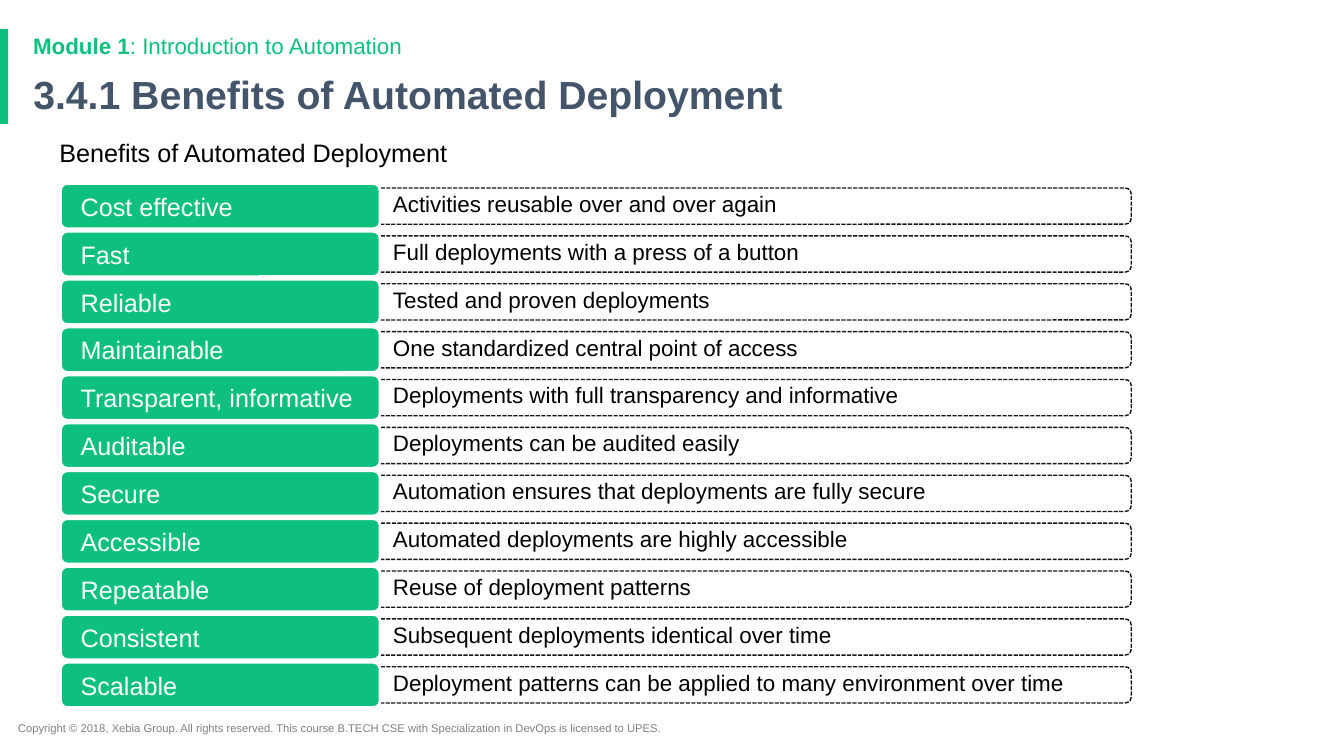
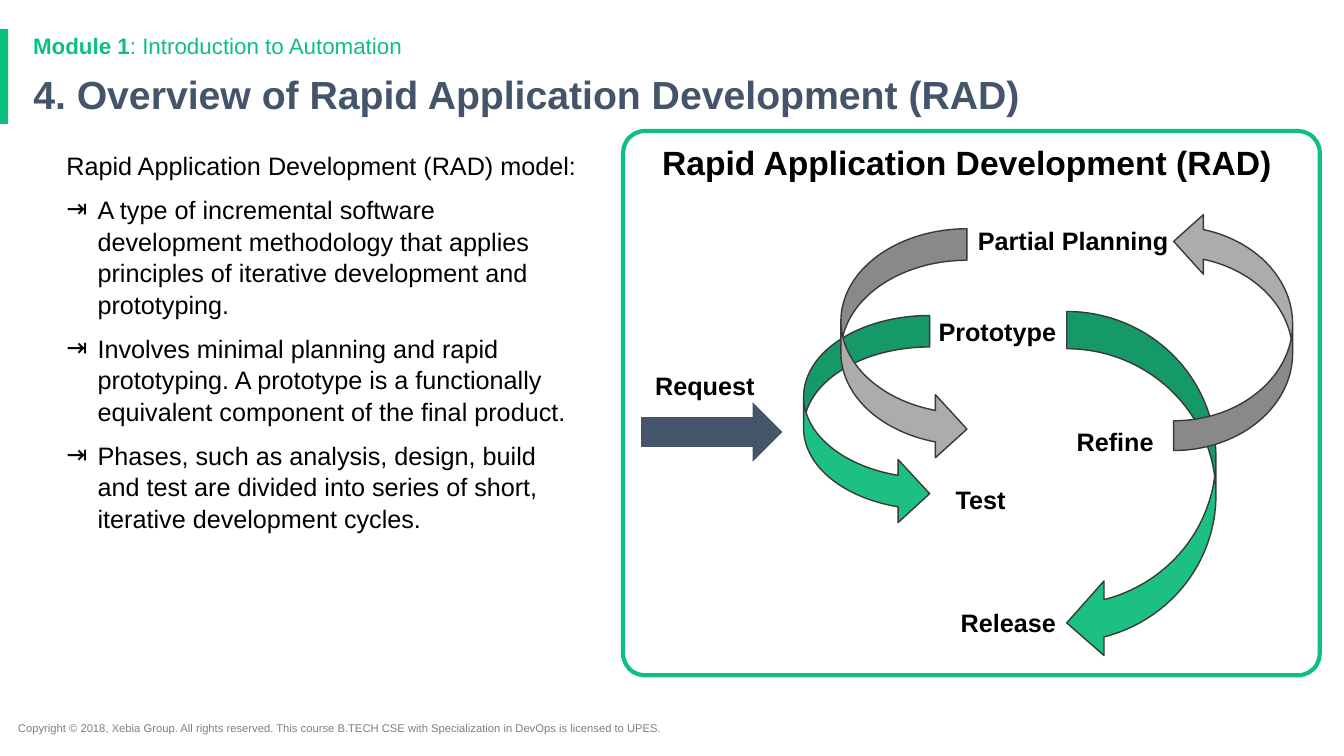
from dataclasses import dataclass

from lxml import etree
from pptx import Presentation
from pptx.dml.color import RGBColor
from pptx.enum.dml import MSO_LINE
from pptx.enum.shapes import MSO_SHAPE
from pptx.enum.text import MSO_ANCHOR, MSO_AUTO_SIZE, PP_ALIGN
from pptx.oxml.ns import qn
from pptx.util import Inches, Pt

RECT = MSO_SHAPE.RECTANGLE
ROUND_RECT = MSO_SHAPE.ROUNDED_RECTANGLE
RIGHT_ARROW = MSO_SHAPE.RIGHT_ARROW
CURVED_RIGHT = MSO_SHAPE.CURVED_RIGHT_ARROW
CURVED_LEFT = MSO_SHAPE.CURVED_LEFT_ARROW
SHORT_DASH = MSO_LINE.SQUARE_DOT
TOP, MIDDLE = MSO_ANCHOR.TOP, MSO_ANCHOR.MIDDLE
LEFT, CENTER = PP_ALIGN.LEFT, PP_ALIGN.CENTER
NO_AUTOFIT = MSO_AUTO_SIZE.NONE
TITLE_ONLY = 5


@dataclass(frozen=True)
class Theme:
    font: str = "Arial"
    green: str = "0EC07D"
    arrow_green: str = "1CC083"
    arrow_gray: str = "AEABAB"
    arrow_line: str = "3A3838"
    slate: str = "44546A"
    dash: str = "11151A"
    black: str = "000000"
    white: str = "FFFFFF"
    footer: str = "7F7F7F"
    title_size: int = 28
    panel_size: int = 24
    body_size: int = 18
    detail_size: int = 16
    footer_size: int = 8
    tight: float = 0.9
    loose: float = 1.05


THEME = Theme()
MODULE = [("Module 1", True), (": Introduction to Automation", False)]
COPYRIGHT = (
    "Copyright © 2018, Xebia Group. All rights reserved. This course "
    "B.TECH CSE with Specialization in DevOps is licensed to UPES."
)

BENEFITS = [
    ("Cost effective", "Activities reusable over and over again"),
    ("Fast", "Full deployments with a press of a button"),
    ("Reliable", "Tested and proven deployments"),
    ("Maintainable", "One standardized central point of access"),
    ("Transparent, informative", "Deployments with full transparency and informative"),
    ("Auditable", "Deployments can be audited easily"),
    ("Secure", "Automation ensures that deployments are fully secure"),
    ("Accessible", "Automated deployments are highly accessible"),
    ("Repeatable", "Reuse of deployment patterns"),
    ("Consistent", "Subsequent deployments identical over time"),
    ("Scalable", "Deployment patterns can be applied to many environment over time"),
]

RAD_POINTS = [
    "A type of incremental software development methodology that applies "
    "principles of iterative development and prototyping.",
    "Involves minimal planning and rapid prototyping. A prototype is a "
    "functionally equivalent component of the final product.",
    "Phases, such as analysis, design, build and test are divided into "
    "series of short, iterative development cycles.",
]

# Text, left, top, width
PHASES = [
    ("Partial Planning", 9.6, 2.19, 2.11),
    ("Prototype", 9.21, 3.09, 1.38),
    ("Refine", 10.58, 4.18, 0.97),
    ("Test", 9.38, 4.76, 0.72),
    ("Release", 9.43, 5.98, 1.16),
    ("Request", 6.4, 3.62, 1.2),
]


class Deck:
    def __init__(self, theme):
        self.theme = theme
        self.prs = Presentation()
        self.prs.slide_width = Inches(13.33)
        self.prs.slide_height = Inches(7.5)
        self.slide = None

    def new_slide(self, title):
        """Start a slide with the shared band, footer, title and module line."""
        t = self.theme
        self.slide = self.prs.slides.add_slide(self.prs.slide_layouts[TITLE_ONLY])
        self.shape(RECT, (0, 0.29, 0.08, 0.94), t.green)
        self.text((0.08, 7.11, 7.13, 0.24), COPYRIGHT, t.footer_size, t.footer)
        sp = self.slide.shapes.title
        sp.left, sp.top, sp.width, sp.height = map(Inches, (0.23, 0.69, 11.5, 0.54))
        self.set_text(sp, title, t.title_size, t.slate, bold=True, spacing=t.tight,
                      anchor=MIDDLE)
        self.text((0.23, 0.3, 11.5, 0.33), MODULE, t.detail_size, t.green, spacing=t.tight)

    def set_text(self, sp, text, size, color, bold=False, spacing=1.0,
                 align=LEFT, anchor=TOP, margins=(0.1, 0.05, 0.1, 0.05)):
        """Fill the first paragraph with a string or (text, bold) runs."""
        tf = sp.text_frame
        tf.auto_size = NO_AUTOFIT
        tf.word_wrap = True
        tf.vertical_anchor = anchor
        (tf.margin_left, tf.margin_top,
         tf.margin_right, tf.margin_bottom) = map(Inches, margins)
        runs = [(text, bold)] if isinstance(text, str) else text
        self.add_runs(tf.paragraphs[0], runs, size, color, spacing, align)

    def add_runs(self, p, runs, size, color, spacing, align=LEFT):
        p.alignment = align
        p.line_spacing = spacing
        for content, bold in runs:
            r = p.add_run()
            r.text = content
            r.font.name = self.theme.font
            r.font.size = Pt(size)
            r.font.bold = bold
            r.font.color.rgb = RGBColor.from_string(color)

    def text(self, box, text, size, color, **style):
        sp = self.slide.shapes.add_textbox(*map(Inches, box))
        self.set_text(sp, text, size, color, **style)
        return sp

    def body(self, box, lead, points=()):
        t = self.theme
        sp = self.text(box, lead, t.body_size, t.black, spacing=t.loose)
        for point in points:
            p = sp.text_frame.add_paragraph()
            self.bullet(p)
            p.space_before = Pt(8.4)
            self.add_runs(p, [(point, False)], t.body_size, t.black, t.loose)

    def bullet(self, p):
        pPr = p._p.get_or_add_pPr()
        pPr.set("marL", str(Inches(0.31)))
        pPr.set("indent", str(-Inches(0.31)))
        color = etree.SubElement(pPr, qn("a:buClr"))
        etree.SubElement(color, qn("a:srgbClr"), val=self.theme.black)
        etree.SubElement(pPr, qn("a:buFont"), typeface=self.theme.font)
        etree.SubElement(pPr, qn("a:buChar"), char="⇥")

    def shape(self, kind, box, fill=None, line=None, width=1, dash=None, adjust=()):
        sp = self.slide.shapes.add_shape(kind, *map(Inches, box))
        sp.shadow.inherit = False
        for i, value in enumerate(adjust):
            sp.adjustments[i] = value
        if fill:
            sp.fill.solid()
            sp.fill.fore_color.rgb = RGBColor.from_string(fill)
        else:
            sp.fill.background()
        if line:
            sp.line.color.rgb = RGBColor.from_string(line)
            sp.line.width = Pt(width)
            if dash:
                sp.line.dash_style = dash
        else:
            sp.line.fill.background()
        return sp

    def curved_arrow(self, kind, box, fill, flip=False):
        sp = self.shape(kind, box, fill, self.theme.arrow_line, adjust=(0.25, 0.5, 0.25))
        if flip:
            sp._element.spPr.find(qn("a:xfrm")).set("flipV", "1")

    def benefit_row(self, top, name, detail):
        """Draw a dashed detail box with its green label over the left end."""
        t = self.theme
        label_h, detail_h = 0.45, 0.36
        detail_top = top + (label_h - detail_h) / 2
        sp = self.shape(ROUND_RECT, (3.7, detail_top, 7.52, detail_h),
                        line=t.dash, dash=SHORT_DASH, adjust=(0.17,))
        self.set_text(sp, detail, t.detail_size, t.black, spacing=t.tight,
                      anchor=MIDDLE, margins=(0.18, 0.03, 0.08, 0.05))
        sp = self.shape(ROUND_RECT, (0.6, top, 3.17, label_h), t.green, t.white, 2,
                        adjust=(0.15,))
        self.set_text(sp, name, t.body_size, t.white, spacing=t.tight,
                      anchor=MIDDLE, margins=(0.18, 0.08, 0.08, 0.04))


def benefits_slide(deck):
    deck.new_slide("3.4.1 Benefits of Automated Deployment")
    deck.body((0.49, 1.3, 11.24, 0.45), "Benefits of Automated Deployment")
    first, last = 1.82, 6.57
    pitch = (last - first) / (len(BENEFITS) - 1)
    for i, (name, detail) in enumerate(BENEFITS):
        deck.benefit_row(first + i * pitch, name, detail)


def rad_slide(deck):
    t = deck.theme
    deck.new_slide("4. Overview of Rapid Application Development (RAD)")
    deck.body((0.56, 1.43, 5.34, 5.29),
              "Rapid Application Development (RAD) model:", RAD_POINTS)
    panel = deck.shape(ROUND_RECT, (6.18, 1.3, 6.91, 5.4), t.white, t.green, 3,
                       adjust=(0.04,))
    deck.set_text(panel, "Rapid Application Development (RAD)", t.panel_size, t.black,
                  bold=True, align=CENTER, margins=(0.1, 0.05, 0.19, 0.05))
    deck.curved_arrow(CURVED_RIGHT, (7.97, 3.13, 1.25, 2.08), t.arrow_green)
    for name, left, top, width in PHASES:
        deck.text((left, top, width, 0.4), name, t.body_size, t.black, bold=True,
                  margins=(0.1, 0.05, 0, 0.05))
    deck.curved_arrow(CURVED_RIGHT, (8.34, 2.27, 1.25, 2.3), t.arrow_gray)
    deck.curved_arrow(CURVED_LEFT, (10.58, 3.09, 1.48, 3.46), t.arrow_green)
    deck.curved_arrow(CURVED_LEFT, (11.64, 2.1, 1.18, 2.37), t.arrow_gray, flip=True)
    deck.shape(RIGHT_ARROW, (6.36, 3.99, 1.4, 0.59), t.slate)


def main():
    deck = Deck(THEME)
    benefits_slide(deck)
    rad_slide(deck)
    deck.prs.save("out.pptx")


if __name__ == "__main__":
    main()
